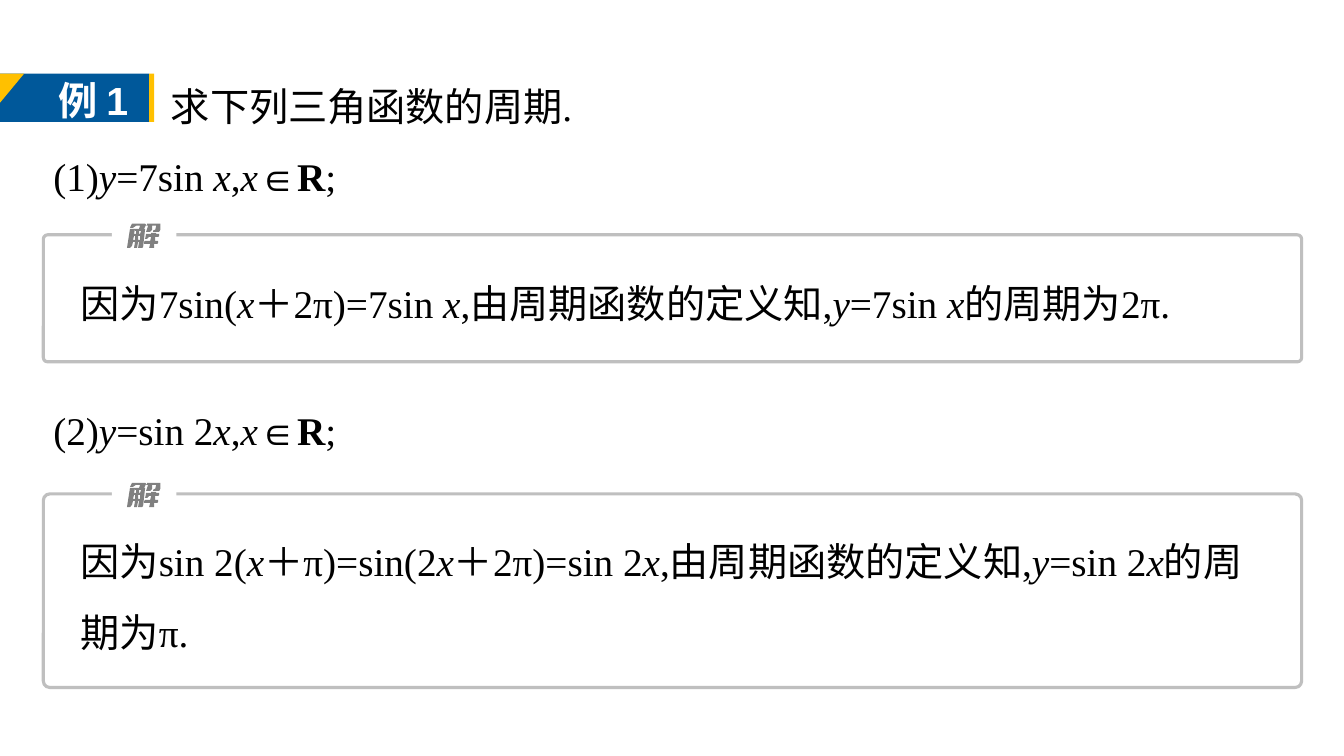
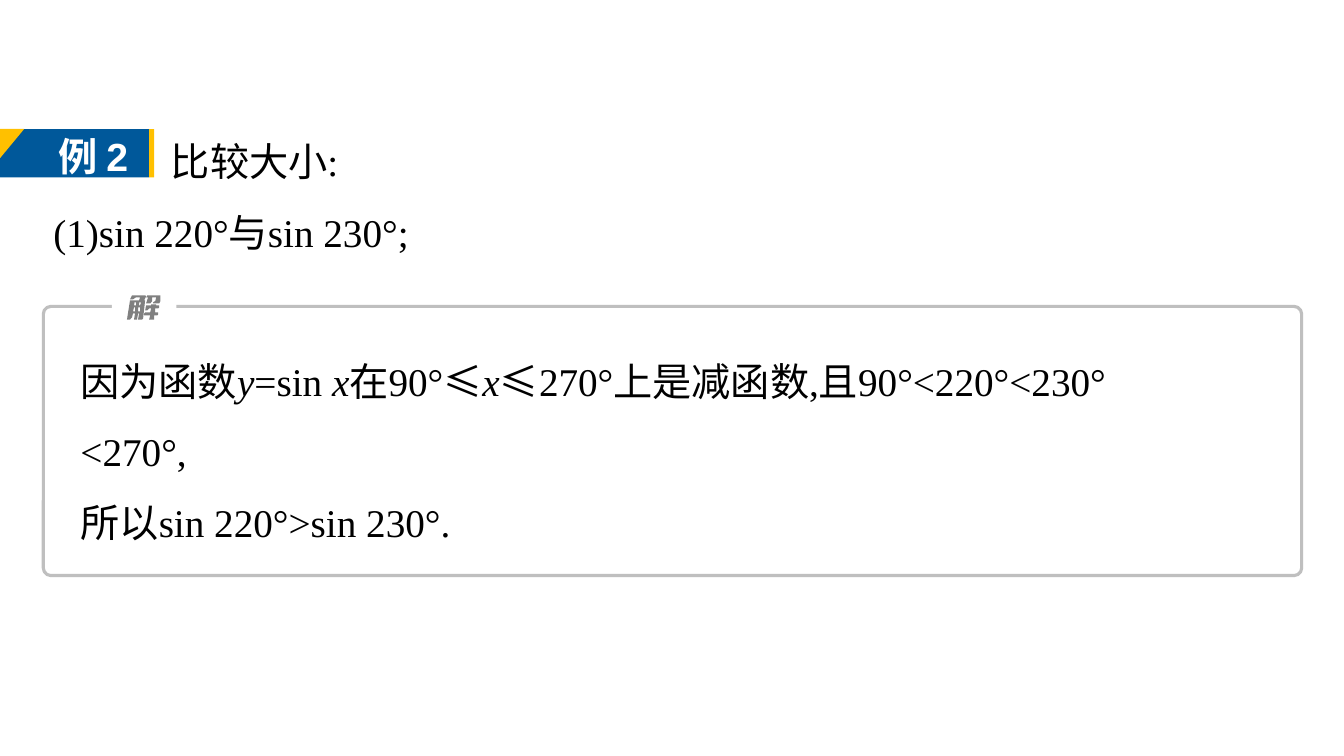
from itertools import groupby

from lxml.etree import SubElement
from pptx import Presentation
from pptx.dml.color import RGBColor
from pptx.enum.shapes import MSO_SHAPE
from pptx.enum.text import MSO_AUTO_SIZE
from pptx.oxml.ns import qn
from pptx.util import Inches, Pt

COLORS = {"text": "000000", "white": "FFFFFF", "blue": "00589A",
          "gold": "FFC000", "border": "BFBFBF", "mark": "808080"}
LATIN, LABEL, CJK = "Times New Roman", "Arial", "Noto Sans CJK SC"
TEXT_SIZE = Pt(28)
TITLE_INDENT = 3 * TEXT_SIZE  # room for the badge: three characters
MARGIN, CONTENT_WIDTH = 0.43, 12.48
SOLUTION_INSET = 0.27
LINE_HEIGHT, BOX_PADDING = 0.71, 0.02

EXAMPLES = [
    {
        "number": "1", "top": 0.53, "title": "求下列三角函数的周期.",
        "questions": [(None, "(1)y=7sin x,x∈R;"), (3.75, "(2)y=sin 2x,x∈R;")],
        "solutions": [
            {"top": 2.33, "height": 1.26, "gap": 0.16, "rows": 1, "radius": 0.033,
             "lines": ["因为7sin(x＋2π)=7sin x,由周期函数的定义知,y=7sin x的周期为2π."]},
            {"top": 4.9, "height": 1.92, "gap": 0.15, "rows": 2, "radius": 0.033,
             "lines": ["因为sin 2(x＋π)=sin(2x＋2π)=sin 2x,由周期函数的定义知,"
                       "y=sin 2x的周期为π."]},
        ],
    },
    {
        "number": "2", "top": 1.08, "title": "比较大小:",
        "questions": [(None, "(1)sin 220°与sin 230°;")],
        "solutions": [
            {"top": 3.04, "height": 2.67, "gap": 0.22, "rows": 3, "radius": 0.028,
             "lines": ["因为函数y=sin x在90°≤x≤270°上是减函数,且90°<220°<230°",
                       "<270°,", "所以sin 220°>sin 230°."]},
        ],
    },
]

# Outline of the slanted 解 mark, in hundredths of an inch
MARK_CONTOURS = [
    [(11, 12), (11, 16), (13, 16), (13, 12)],
    [(7, 12), (6, 16), (8, 16), (8, 12)],
    [(25, 9), (29, 9), (29, 10), (32, 10), (32, 12), (31, 13), (28, 13), (28, 17),
     (31, 17), (31, 19), (30, 20), (27, 20), (27, 24), (22, 24), (23, 20), (17, 20),
     (17, 18), (18, 17), (23, 17), (24, 13), (22, 13), (21, 14), (20, 15), (18, 15),
     (19, 10), (24, 10), (24, 9)],
    [(12, 7), (12, 10), (13, 10), (14, 7)],
    [(20, 0), (33, 0), (33, 6), (32, 8), (26, 8), (26, 7), (27, 6), (28, 6), (29, 2),
     (25, 2), (25, 6), (23, 8), (19, 8), (21, 2), (19, 2), (20, 1)],
    [(5, 0), (18, 0), (19, 1), (17, 5), (18, 5), (16, 23), (15, 24), (11, 24),
     (12, 18), (11, 18), (10, 24), (7, 24), (8, 18), (6, 18), (5, 22), (3, 24),
     (0, 24), (3, 5), (8, 5), (7, 10), (9, 10), (9, 7), (8, 7), (8, 5), (12, 5),
     (13, 2), (9, 2), (6, 4), (3, 4)],
]


def rgb(name):
    return RGBColor.from_string(COLORS[name])


def paint(shape, fill):
    shape.shadow.inherit = False
    shape.fill.solid()
    shape.fill.fore_color.rgb = rgb(fill)
    shape.line.fill.background()


def add_block(slide, kind, left, top, width, height, fill):
    block = slide.shapes.add_shape(
        kind, Inches(left), Inches(top), Inches(width), Inches(height))
    paint(block, fill)
    return block


def add_run(paragraph, text, font=LATIN, color="text", bold=False, italic=False):
    run = paragraph.add_run()
    run.text = text
    run.font.size = TEXT_SIZE
    run.font.bold, run.font.italic = bold, italic
    run.font.color.rgb = rgb(color)
    run.font.name = font
    SubElement(run.font._element, qn("a:ea"), typeface=CJK)


def char_style(char):
    """Variables are italic, the set R is bold, wide signs use the CJK font."""
    return (CJK if char in "＋≤" else LATIN, char == "R", char in "xy")


def add_text_frame(slide, left, top, width, height):
    box = slide.shapes.add_textbox(
        Inches(left), Inches(top), Inches(width), Inches(height))
    box.text_frame.word_wrap = True
    box.text_frame.auto_size = MSO_AUTO_SIZE.SHAPE_TO_FIT_TEXT
    return box.text_frame


def add_math_text(slide, left, top, width, lines, rows, first_indent=0):
    frame = add_text_frame(slide, left, top, width, rows * LINE_HEIGHT + BOX_PADDING)
    for index, line in enumerate(lines):
        paragraph = frame.add_paragraph() if index else frame.paragraphs[0]
        paragraph.line_spacing = 1.5
        if first_indent and not index:
            paragraph._p.get_or_add_pPr().set("indent", str(first_indent))
        for (font, bold, italic), chars in groupby(line, char_style):
            add_run(paragraph, "".join(chars), font, bold=bold, italic=italic)


def add_badge(slide, top, number):
    add_block(slide, MSO_SHAPE.RECTANGLE, 0, top, 1.48, 0.48, "blue")
    corner = add_block(slide, MSO_SHAPE.RIGHT_TRIANGLE, 0, top, 0.24, 0.29, "gold")
    corner.element.spPr.find(qn("a:xfrm")).set("flipV", "1")
    label = add_text_frame(slide, 0.48, top - 0.02, 1, 0.57).paragraphs[0]
    add_run(label, "例 ", color="white", bold=True)
    add_run(label, number, LABEL, "white", bold=True)
    add_block(slide, MSO_SHAPE.RECTANGLE, 1.48, top, 0.05, 0.48, "gold")


def add_solution_mark(slide, left, top):
    first, *others = MARK_CONTOURS
    builder = slide.shapes.build_freeform(*first[0], scale=Inches(0.01))
    builder.add_line_segments(first[1:], close=True)
    for contour in others:
        builder.move_to(*contour[0])
        builder.add_line_segments(contour[1:], close=True)
    paint(builder.convert_to_shape(Inches(left), Inches(top)), "mark")


def add_solution(slide, top, height, gap, rows, radius, lines):
    frame = add_block(slide, MSO_SHAPE.ROUNDED_RECTANGLE,
                      MARGIN, top, CONTENT_WIDTH, height, "white")
    frame.adjustments[0] = radius
    frame.fill.background()
    frame.line.color.rgb = rgb("border")
    frame.line.width = Pt(2.25)
    add_block(slide, MSO_SHAPE.RECTANGLE, 1.11, top - 0.12, 0.64, 0.24, "white")
    add_solution_mark(slide, 1.26, top - 0.11)
    add_math_text(slide, MARGIN + SOLUTION_INSET, top + gap,
                  CONTENT_WIDTH - 2 * SOLUTION_INSET, lines, rows)


def add_example(slide, number, top, title, questions, solutions):
    (_, first_question), *later_questions = questions
    add_math_text(slide, MARGIN, top, CONTENT_WIDTH, [title, first_question], 2,
                  TITLE_INDENT)
    add_badge(slide, top + 0.2, number)
    for question_top, question in later_questions:
        add_math_text(slide, MARGIN, question_top, CONTENT_WIDTH, [question], 1)
    for solution in solutions:
        add_solution(slide, **solution)


def main():
    deck = Presentation()
    deck.slide_width, deck.slide_height = Inches(13.33), Inches(7.5)
    for example in EXAMPLES:
        add_example(deck.slides.add_slide(deck.slide_layouts[6]), **example)
    deck.save("out.pptx")


if __name__ == "__main__":
    main()
